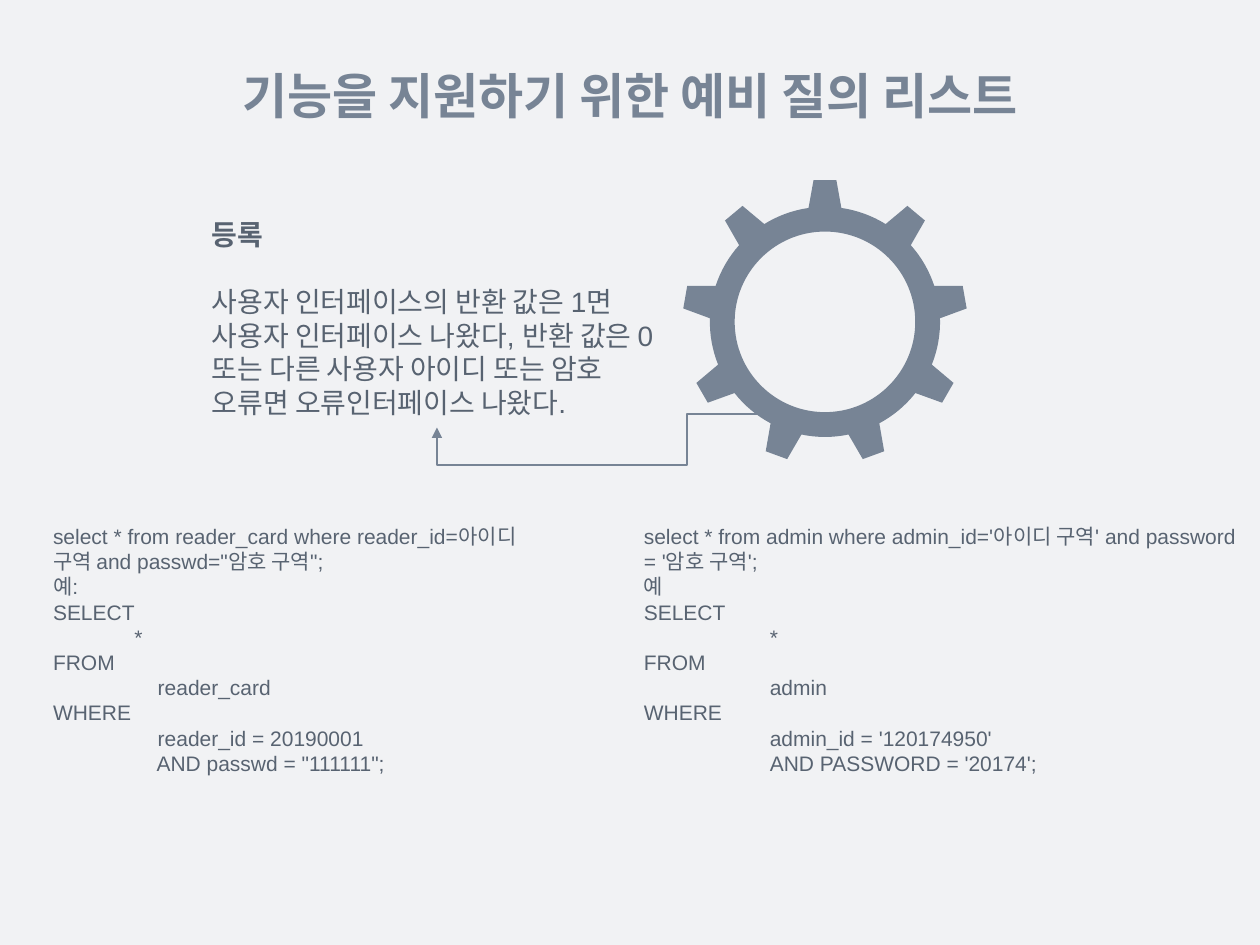
from dataclasses import dataclass
from math import cos, radians, sin, tan

from lxml import etree
from pptx import Presentation
from pptx import util as u
from pptx.dml.color import RGBColor
from pptx.enum import shapes, text
from pptx.oxml.ns import qn

COLORS = {"background": "F1F2F4", "accent": "778495", "body": "586371"}


@dataclass
class Passage:
    """A text block: position and size in cm, paragraphs and their style."""

    left: float
    top: float
    width: float
    height: float
    lines: list[str]
    size: int = 12
    color: str = "body"
    bold_first: bool = False
    centered: bool = False
    line_spacing: float | None = None
    gap: int = 0


@dataclass
class Arc:
    """A circular arc with clockwise angles from the top."""

    radius: float
    start: float
    end: float


@dataclass
class Gear:
    """A toothed ring measured in cm."""

    x: float
    y: float
    teeth: int = 9
    hole: float = 1.82
    rim: float = 2.32
    tip: float = 2.86
    tip_half: float = 0.23
    root_angle: float = 8.2

    def point(self, radius: float, angle: float, across: float = 0) -> tuple[int, int]:
        """Return the point at a clockwise angle from the top."""
        turn = radians(angle)
        return (
            u.Cm(self.x + radius * sin(turn) + across * cos(turn)),
            u.Cm(self.y - radius * cos(turn) + across * sin(turn)),
        )

    def hole_arcs(self) -> list[Arc]:
        """Return the quarters of the hole, counterclockwise."""
        return [Arc(self.hole, -start, -start - 90) for start in range(0, 360, 90)]

    def rim_arcs(self) -> list[Arc]:
        """Return the arcs between neighbouring teeth."""
        step = 360 / self.teeth
        return [
            Arc(self.rim, tooth * step + self.root_angle, (tooth + 1) * step - self.root_angle)
            for tooth in range(self.teeth)
        ]

    def outline(self) -> list[tuple[int, int]]:
        """Return the corners: two at each tip, then the ends of the next arc."""
        points = []
        for tooth, arc in enumerate(self.rim_arcs()):
            angle = tooth * 360 / self.teeth
            points += [self.point(self.tip, angle, side * self.tip_half) for side in (-1, 1)]
            points += [self.point(arc.radius, end) for end in (arc.start, arc.end)]
        return points

    def controls(self, arc: Arc) -> list[tuple[int, int]]:
        """Return the Bézier points that follow the start of an arc."""
        reach = arc.radius * 4 / 3 * tan(radians(arc.end - arc.start) / 4)
        return [
            self.point(arc.radius, arc.start, reach),
            self.point(arc.radius, arc.end, -reach),
            self.point(arc.radius, arc.end),
        ]


PASSAGES = [
    Passage(2.17, 0.84, 21.06, 1.8, ["기능을 지원하기 위한 예비 질의 리스트"],
            size=28, color="accent", bold_first=True, centered=True, line_spacing=1.3),
    Passage(0.82, 10.43, 10.69, 5.38, [
        'select * from reader_card where reader_id=아이디 구역 and passwd="암호 구역";',
        "예:",
        "SELECT",
        "              *",
        "FROM",
        "                  reader_card",
        "WHERE",
        "                  reader_id = 20190001",
        '                  AND passwd = "111111";',
    ]),
    Passage(12.73, 10.43, 12.62, 5.38, [
        "select * from admin where admin_id='아이디 구역' and password = '암호 구역';",
        "예",
        "SELECT",
        "\t*",
        "FROM",
        "\tadmin",
        "WHERE",
        "\tadmin_id = '120174950'",
        "\tAND PASSWORD = '20174';",
    ]),
    Passage(4.02, 4.27, 9.75, 4.37, [
        "등록",
        "사용자 인터페이스의 반환 값은 1면 사용자 인터페이스 나왔다, 반환 값은 0 또는 다른 "
        "사용자 아이디 또는 암호 오류면 오류인터페이스 나왔다.",
    ], size=16, bold_first=True, gap=19),
]


def rgb(name: str) -> RGBColor:
    """Look up a named colour."""
    return RGBColor.from_string(COLORS[name])


def draw_passage(slide, passage: Passage) -> None:
    """Draw one wrapped text block."""
    frame = slide.shapes.add_textbox(
        u.Cm(passage.left), u.Cm(passage.top), u.Cm(passage.width), u.Cm(passage.height)
    ).text_frame
    frame.word_wrap = True
    frame.auto_size = text.MSO_AUTO_SIZE.SHAPE_TO_FIT_TEXT
    frame.text = "\n".join(passage.lines)
    for index, paragraph in enumerate(frame.paragraphs):
        if paragraph.text.startswith("\t"):
            stops = etree.SubElement(paragraph._p.get_or_add_pPr(), qn("a:tabLst"))
            etree.SubElement(stops, qn("a:tab"), pos=str(u.Cm(2.54)), algn="l")
        if passage.line_spacing:
            paragraph.line_spacing = passage.line_spacing
        if passage.centered:
            paragraph.alignment = text.PP_ALIGN.CENTER
        if index and passage.gap:
            paragraph.space_before = u.Pt(passage.gap)
        for run in paragraph.runs:
            run.font.name = "Arial"
            run.font.size = u.Pt(passage.size)
            run.font.bold = passage.bold_first and index == 0
            run.font.color.rgb = rgb(passage.color)


def draw_gear(slide, gear: Gear) -> None:
    """Draw the gear as one freeform with a hole and curved arcs."""
    hole_arcs, outline = gear.hole_arcs(), gear.outline()
    builder = slide.shapes.build_freeform(*gear.point(gear.hole, 0))
    builder.add_line_segments([gear.point(gear.hole, arc.end) for arc in hole_arcs], close=True)
    builder.move_to(*outline[0])
    builder.add_line_segments(outline[1:], close=True)
    wheel = builder.convert_to_shape()
    wheel.shadow.inherit = False
    wheel.fill.solid()
    wheel.fill.fore_color.rgb = rgb("accent")
    wheel.line.fill.background()
    sides = list(wheel._element.iter(qn("a:lnTo")))
    for side, arc in zip(sides[:4] + sides[6::4], hole_arcs + gear.rim_arcs()):
        curve = etree.Element(qn("a:cubicBezTo"))
        for x, y in gear.controls(arc):
            etree.SubElement(curve, qn("a:pt"), x=str(x - wheel.left), y=str(y - wheel.top))
        side.getparent().replace(side, curve)


def draw_pointer(slide, start: tuple[float, float], end: tuple[float, float],
                 bends: tuple[int, int]) -> None:
    """Draw a bent arrow with two adjustable turns."""
    pointer = slide.shapes.add_connector(
        shapes.MSO_CONNECTOR.ELBOW, *map(u.Cm, start), *map(u.Cm, end)
    )
    pointer.line.color.rgb = rgb("accent")
    pointer.line.width = u.Pt(1)
    properties = pointer.line._get_or_add_ln().getparent()
    geometry = properties.find(qn("a:prstGeom"))
    geometry.set("prst", "bentConnector4")
    guides = geometry.find(qn("a:avLst"))
    for number, bend in enumerate(bends, 1):
        etree.SubElement(guides, qn("a:gd"), name=f"adj{number}", fmla=f"val {bend}")
    etree.SubElement(properties.find(qn("a:ln")), qn("a:tailEnd"), type="triangle")
    etree.SubElement(properties, qn("a:effectLst"))


def main() -> None:
    """Build the slide and save it."""
    deck = Presentation()
    deck.slide_width, deck.slide_height = u.Cm(25.4), u.Cm(19.05)
    slide = deck.slides.add_slide(deck.slide_layouts[6])
    slide.background.fill.solid()
    slide.background.fill.fore_color.rgb = rgb("background")
    *columns, description = PASSAGES
    for passage in columns:
        draw_passage(slide, passage)
    draw_gear(slide, Gear(16.63, 6.49))
    draw_pointer(slide, (15.95, 8.35), (8.81, 8.62), (29300, 378400))
    draw_passage(slide, description)
    deck.save("out.pptx")


if __name__ == "__main__":
    main()
